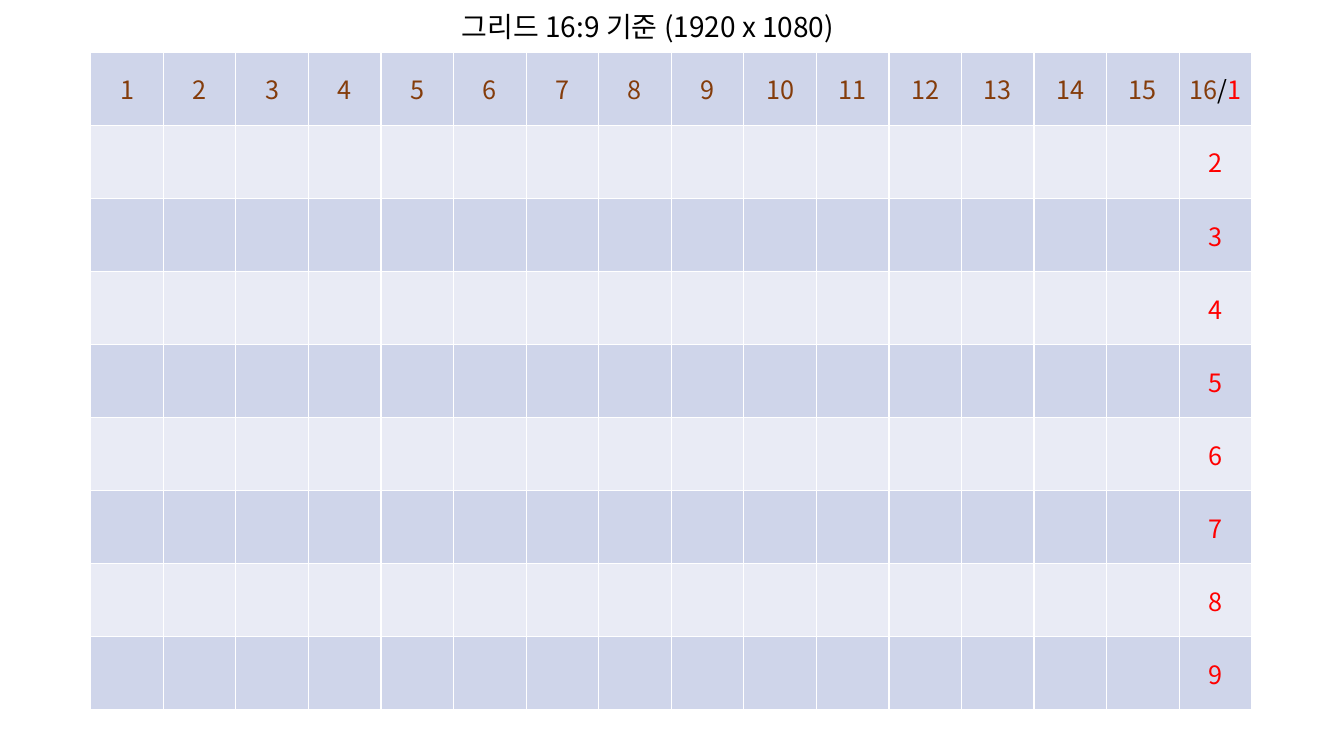
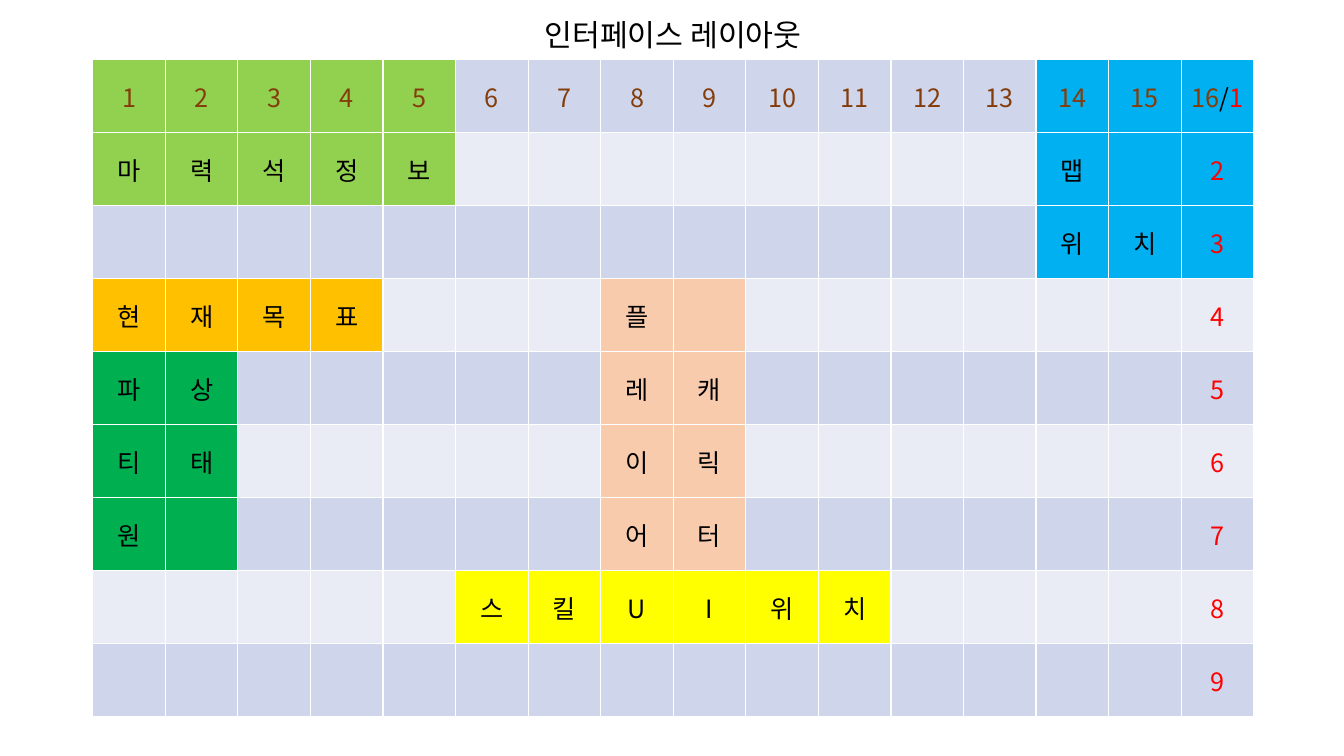
from dataclasses import dataclass

from lxml import etree
from pptx import Presentation
from pptx.dml.color import RGBColor
from pptx.enum.text import MSO_ANCHOR as Anchor, PP_ALIGN as Align
from pptx.oxml.ns import qn
from pptx.util import Inches, Pt

BLACK = RGBColor(0x00, 0x00, 0x00)
WHITE = RGBColor(0xFF, 0xFF, 0xFF)
RED = RGBColor(0xFF, 0x00, 0x00)
BROWN = RGBColor(0x84, 0x3C, 0x0B)
BANDS = (RGBColor(0xCF, 0xD5, 0xEA), RGBColor(0xE9, 0xEB, 0xF5))
LIME = RGBColor(0x92, 0xD0, 0x50)
BLUE = RGBColor(0x00, 0xB0, 0xF0)
AMBER = RGBColor(0xFF, 0xC0, 0x00)
GREEN = RGBColor(0x00, 0xB0, 0x50)
PEACH = RGBColor(0xF8, 0xCB, 0xAD)
YELLOW = RGBColor(0xFF, 0xFF, 0x00)

FONT = "Noto Sans CJK KR"
COLUMNS, ROWS = 16, 9
GRID_WIDTH, GRID_HEIGHT = 11.52, 6.52


@dataclass
class Region:
    row: int
    column: int
    width: int
    fill: RGBColor
    lines: tuple


REGIONS = (
    Region(0, 0, 5, LIME, ("", "마력석정보")),
    Region(0, 13, 3, BLUE, ("", "맵", "위치")),
    Region(3, 0, 4, AMBER, ("현재목표",)),
    Region(4, 0, 2, GREEN, ("파상", "티태", "원")),
    Region(3, 7, 2, PEACH, ("플", "레캐", "이릭", "어터")),
    Region(7, 5, 6, YELLOW, ("스킬UI위치",)),
)


def add_run(paragraph, text, size, color):
    run = paragraph.add_run()
    run.text = text
    for name, value in {"name": FONT, "size": Pt(size), "bold": False}.items():
        setattr(run.font, name, value)
    run.font.color.rgb = color
    etree.SubElement(run.font._element, qn("a:ea"), typeface=FONT)


def add_title(slide, box, text, size, alignment):
    frame = slide.shapes.add_textbox(*map(Inches, box)).text_frame
    frame.word_wrap = True
    frame.vertical_anchor = Anchor.MIDDLE
    paragraph = frame.paragraphs[0]
    paragraph.alignment = alignment
    paragraph.line_spacing = 0.9
    add_run(paragraph, text, size, BLACK)


def set_borders(cell, color, width):
    properties = cell._tc.get_or_add_tcPr()
    for side in ("lnL", "lnR", "lnT", "lnB"):
        line = etree.SubElement(properties, qn(f"a:{side}"), w=str(Pt(width)))
        fill = etree.SubElement(line, qn("a:solidFill"))
        etree.SubElement(fill, qn("a:srgbClr"), val=str(color))


def set_fill(cell, color):
    cell.fill.solid()
    cell.fill.fore_color.rgb = color


def write_cell(cell, *runs):
    paragraph = cell.text_frame.paragraphs[0]
    paragraph.alignment = Align.CENTER
    for text, color in runs:
        add_run(paragraph, text, 18, color)


def add_grid(slide, left, top):
    box = map(Inches, (left, top, GRID_WIDTH, GRID_HEIGHT))
    table = slide.shapes.add_table(ROWS, COLUMNS, *box).table
    table.first_row = table.horz_banding = False
    for column in table.columns:
        column.width = Inches(GRID_WIDTH / COLUMNS)
    for index, row in enumerate(table.rows):
        row.height = Inches(GRID_HEIGHT / ROWS)
        for cell in row.cells:
            cell.vertical_anchor = Anchor.MIDDLE
            set_borders(cell, WHITE, 1)
            set_fill(cell, BANDS[index % 2])
    last = COLUMNS - 1
    for column in range(last):
        write_cell(table.cell(0, column), (str(column + 1), BROWN))
    write_cell(table.cell(0, last), (str(COLUMNS), BROWN), ("/", BLACK), ("1", RED))
    for row in range(1, ROWS):
        write_cell(table.cell(row, last), (str(row + 1), RED))
    return table


def mark_region(table, region):
    for row, line in enumerate(region.lines, region.row):
        for offset in range(region.width):
            set_fill(table.cell(row, region.column + offset), region.fill)
        for column, letter in enumerate(line, region.column):
            write_cell(table.cell(row, column), (letter, BLACK))


def add_grid_slide(presentation, title, grid_origin, regions=()):
    slide = presentation.slides.add_slide(presentation.slide_layouts[6])
    add_title(slide, *title)
    table = add_grid(slide, *grid_origin)
    for region in regions:
        mark_region(table, region)


presentation = Presentation()
presentation.slide_width = Inches(13.33)
presentation.slide_height = Inches(7.5)
add_grid_slide(
    presentation,
    ((4.48, 0.06, 4.34, 0.45), "그리드 16:9 기준 (1920 x 1080)", 20, Align.LEFT),
    (0.9, 0.52),
)
add_grid_slide(
    presentation,
    ((4.97, 0.14, 3.41, 0.45), "인터페이스 레이아웃", 21.6, Align.CENTER),
    (0.92, 0.59),
    REGIONS,
)
presentation.save("out.pptx")
